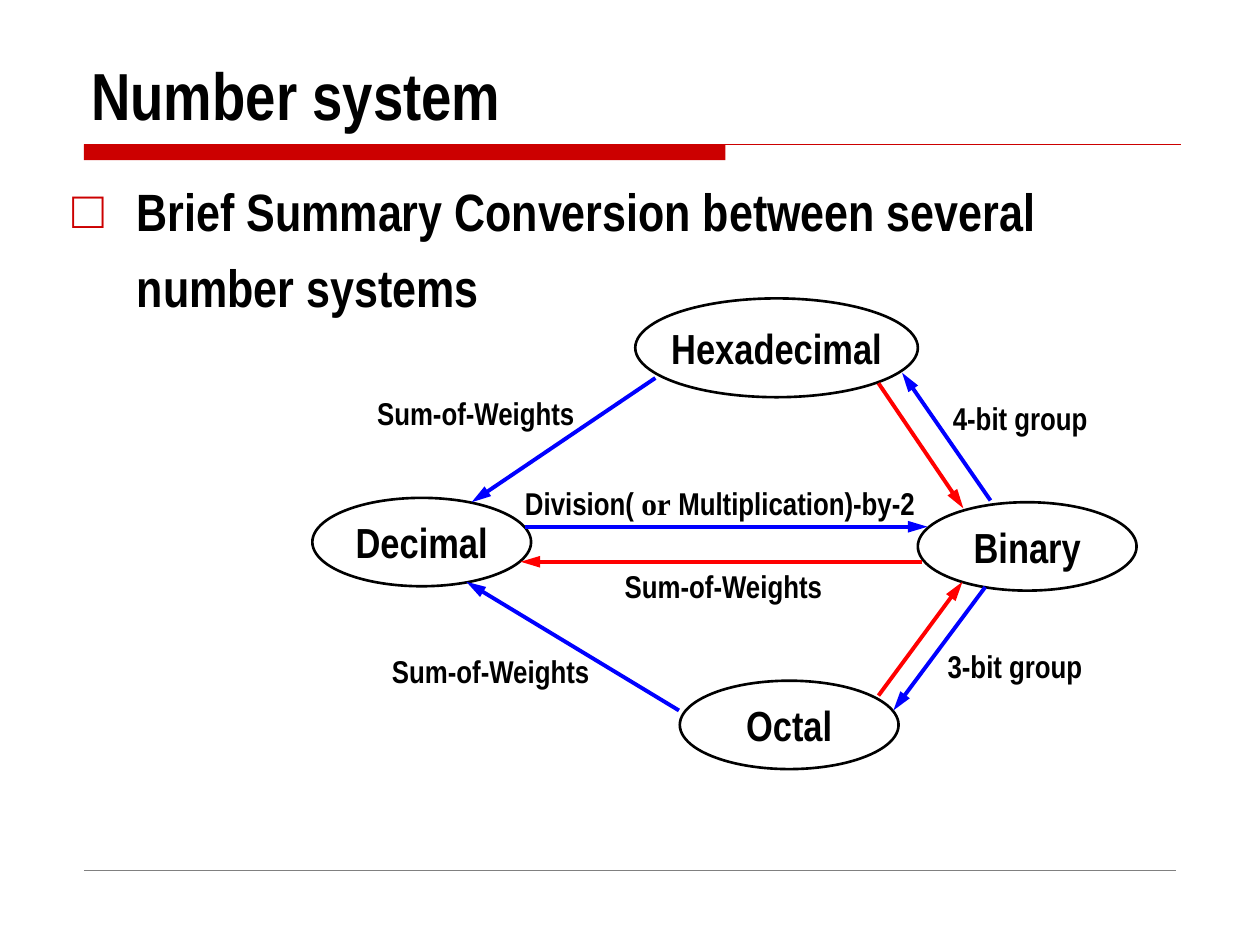
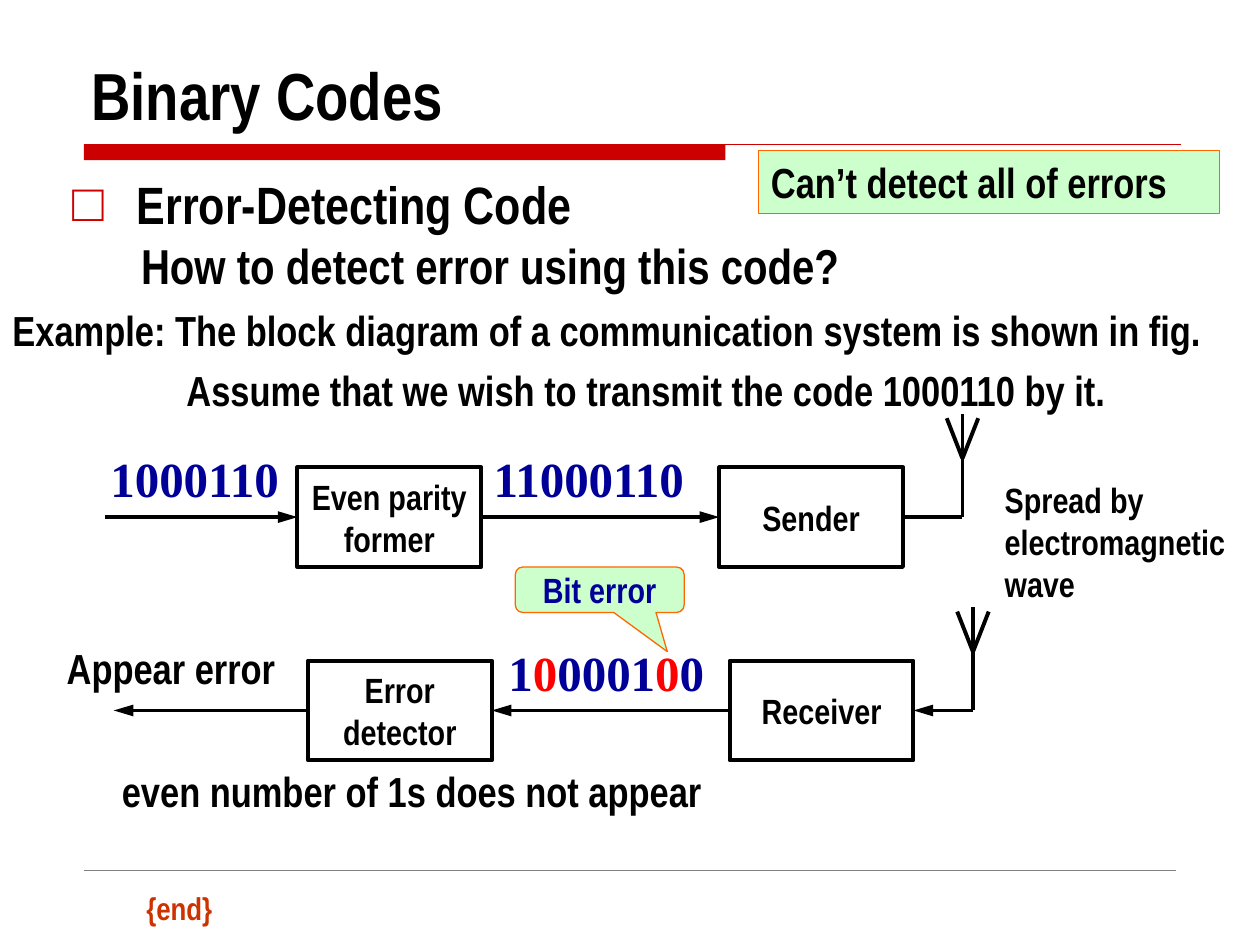
from lxml.etree import SubElement
from pptx import Presentation
from pptx.dml.color import RGBColor
from pptx.enum.shapes import MSO_CONNECTOR, MSO_SHAPE
from pptx.enum.text import MSO_ANCHOR, MSO_AUTO_SIZE, PP_ALIGN
from pptx.oxml.ns import qn
from pptx.util import Pt

SANS, SERIF = "Arial Narrow", "Times New Roman"
BLACK = RGBColor(0x00, 0x00, 0x00)
WHITE = RGBColor(0xFF, 0xFF, 0xFF)
CRIMSON = RGBColor(0xCC, 0x00, 0x00)
RED = RGBColor(0xFF, 0x00, 0x00)
BLUE = RGBColor(0x00, 0x00, 0xFF)
NAVY = RGBColor(0x00, 0x00, 0x99)
RUST = RGBColor(0xCC, 0x33, 0x00)
ORANGE = RGBColor(0xFF, 0x66, 0x00)
MINT = RGBColor(0xCC, 0xFF, 0xCC)
GRAY = RGBColor(0x80, 0x80, 0x80)

# Slide 1: left, top, width, height
SYSTEMS = [
    ("Decimal", (178.5, 284.5, 125, 50.5)),
    ("Binary", (524.5, 287, 125, 50.5)),
    ("Octal", (388.5, 389, 125, 50.5)),
    ("Hexadecimal", (363, 170.5, 161.5, 56.5)),
]
# x and y of the start, then of the arrowhead
CONVERSIONS = [
    (RED, (502, 219, 550.5, 290.5)),
    (BLUE, (566, 286, 515.5, 213)),
    (RED, (502, 397.5, 550, 332.5)),
    (BLUE, (563, 335.5, 510.5, 406)),
    (BLUE, (374.5, 216, 269.5, 287)),
    (BLUE, (388, 406, 266.5, 332.5)),
    (BLUE, (300, 301, 530, 301)),
    (RED, (527, 321, 297.5, 321)),
]
METHODS = [
    ([("4-bit group", {})], (544.5, 224.5, 100, 25)),
    ([("3-bit group", {})], (541.5, 366.5, 100, 25)),
    ([("Sum-of-Weights", {})], (215.5, 222, 130, 25)),
    ([("Sum-of-Weights", {})], (224, 369.5, 130, 25)),
    ([("Division( ", {}), ("or ", {"name": SERIF}), ("Multiplication)-by-2", {})],
     (300, 273, 240, 25)),
    ([("Sum-of-Weights", {})], (357, 321, 130, 25)),
]

# Slide 2
CODE = {"size": 28, "name": SERIF, "color": NAVY}
NOTES = [
    ("How to detect error using this code?", (73.5, 131, 442, 41), {"size": 28}),
    ("Example: The block diagram of a communication system is shown in fig.",
     (0, 170.5, 705, 36), {}),
    ("Assume that we wish to transmit the code 1000110 by it.",
     (99.5, 204.5, 620, 36), {}),
    ("1000110", (56, 252.5, 116, 41), CODE),
    ("11000110", (275, 252.5, 136, 41), CODE),
    ([("1", {}), ("0", {"color": RED}), ("0001", {}), ("0", {"color": RED}), ("0", {})],
     (283.5, 363.5, 136, 41), CODE),
    ("Appear error", (31, 363.5, 145, 36), {}),
    ("even number of 1s does not appear", (62.5, 434, 428, 36), {}),
    ("Spread by electromagnetic wave", (567, 270, 145, 79), {"size": 20}),
    ("{end}", (76.5, 504.5, 70, 29), {"size": 18, "color": RUST}),
]
WARNING = "Can’t detect all of errors"
BLOCK_W, BLOCK_H, BLOCK_GAP = 105, 57, 136
# left of the first block, top, labels, x of the row's open end
SENDING = (170, 267, ("Even parity former", "Sender"), 60)
RECEIVING = (176, 377.5, ("Error detector", "Receiver"), 65)
MAST_OFFSET, MAST_H = 34, 59
ARM_SPREAD, ARM_TOP, ARM_FOOT = 9, 56.5, 33.5


def points(values):
    return [Pt(value) for value in values]


def style_font(font, size=None, name=None, color=None):
    if size:
        font.size = Pt(size)
    if name:
        font.name = name
    if color is not None:
        font.color.rgb = color


def write(shape, content, size=24, name=SANS, color=BLACK, align=PP_ALIGN.LEFT,
          anchor=MSO_ANCHOR.MIDDLE, spacing=None, bullet=None):
    """Fill a shape with one bold paragraph: a string or (text, font changes) pairs."""
    frame = shape.text_frame
    frame.word_wrap = True
    frame.auto_size = MSO_AUTO_SIZE.NONE
    frame.vertical_anchor = anchor
    paragraph = frame.paragraphs[0]
    if bullet:
        add_bullet(paragraph, bullet)
    paragraph.alignment = align
    paragraph.space_before = Pt(0)
    if spacing:
        paragraph.line_spacing = spacing
    style_font(paragraph.font, size, name, color)
    paragraph.font.bold = True
    for text, changes in [(content, {})] if isinstance(content, str) else content:
        run = paragraph.add_run()
        run.text = text
        style_font(run.font, **changes)


def add_bullet(paragraph, mark):
    properties = paragraph._p.get_or_add_pPr()
    properties.set("marL", str(Pt(37)))
    properties.set("indent", str(-Pt(37)))
    color = SubElement(properties, qn("a:buClr"))
    SubElement(color, qn("a:srgbClr"), val=str(CRIMSON))
    SubElement(properties, qn("a:buChar"), char=mark)


def set_margins(shape, margin):
    frame = shape.text_frame
    frame.margin_left = frame.margin_right = Pt(margin)
    frame.margin_top = frame.margin_bottom = Pt(margin)


def add_label(slide, content, box, **style):
    label = slide.shapes.add_textbox(*points(box))
    write(label, content, **style)
    return label


def add_panel(slide, kind, box, fill, outline=None, weight=0.75):
    panel = slide.shapes.add_shape(kind, *points(box))
    panel.shadow.inherit = False
    panel.fill.solid()
    panel.fill.fore_color.rgb = fill
    if outline is None:
        panel.line.fill.background()
    else:
        panel.line.color.rgb = outline
        panel.line.width = Pt(weight)
    return panel


def add_line(slide, ends, color=BLACK, weight=2.25, arrow=False, start=None, end=None):
    """Draw a line; start and end are optional (shape, side) joints."""
    line = slide.shapes.add_connector(MSO_CONNECTOR.STRAIGHT, *points(ends))
    line.line.color.rgb = color
    line.line.width = Pt(weight)
    if arrow:
        SubElement(line.line._get_or_add_ln(), qn("a:tailEnd"),
                   type="triangle", w="med", len="lg")
    SubElement(line._element.spPr, qn("a:effectLst"))
    if start:
        line.begin_connect(*start)
    if end:
        line.end_connect(*end)


def place(placeholder, box):
    placeholder.left, placeholder.top, placeholder.width, placeholder.height = points(box)


def add_slide(deck, title, topic, topic_box, spacing):
    slide = deck.slides.add_slide(deck.slide_layouts[1])
    add_panel(slide, MSO_SHAPE.RECTANGLE, (48, 82.5, 366.5, 9), CRIMSON)
    add_line(slide, (48, 82.5, 675, 82.5), CRIMSON, 0.75)
    add_line(slide, (48, 497, 672, 497), GRAY, 0.25)
    heading, body = slide.placeholders
    place(heading, (45, 20, 630, 60))
    write(heading, title, size=38, anchor=MSO_ANCHOR.BOTTOM)
    place(body, topic_box)
    write(body, topic, size=30, anchor=MSO_ANCHOR.TOP, spacing=spacing, bullet="□")
    return slide


def add_number_systems(deck):
    slide = add_slide(deck, "Number system",
                      "Brief Summary Conversion between several number systems",
                      (34, 91.5, 658, 94), 1.2)
    for system, box in SYSTEMS:
        oval = add_panel(slide, MSO_SHAPE.OVAL, box, WHITE, BLACK, 1.5)
        set_margins(oval, 0)
        write(oval, system, align=PP_ALIGN.CENTER)
        oval.text_frame.word_wrap = False
    for color, ends in CONVERSIONS:
        add_line(slide, ends, color, arrow=True)
    for method, box in METHODS:
        set_margins(add_label(slide, method, box, size=18, spacing=1.15), 0)


def add_blocks(slide, left, top, labels):
    blocks = []
    for index, label in enumerate(labels):
        x = left + index * (BLOCK_W + BLOCK_GAP)
        block = add_panel(slide, MSO_SHAPE.RECTANGLE, (x, top, BLOCK_W, BLOCK_H),
                          WHITE, BLACK, 2.25)
        set_margins(block, 5)
        write(block, label, size=20, align=PP_ALIGN.CENTER)
        blocks.append(block)
    return blocks


def add_antenna(slide, x, foot):
    add_line(slide, (x, foot - MAST_H, x, foot))
    for side in (-1, 1):
        add_line(slide, (x + side * ARM_SPREAD, foot - ARM_TOP, x, foot - ARM_FOOT))


def add_channel(slide, row, outgoing):
    """Draw two blocks with their arrows and the antenna at the right."""
    left, top, labels, open_end = row
    middle = top + BLOCK_H / 2
    second = left + BLOCK_W + BLOCK_GAP
    mast = second + BLOCK_W + MAST_OFFSET
    first_block, second_block = add_blocks(slide, left, top, labels)
    first_left, first_right = (first_block, 1), (first_block, 3)
    second_left, second_right = (second_block, 1), (second_block, 3)
    outer = (open_end, middle, left, middle)
    inner = (left + BLOCK_W, middle, second, middle)
    feed = (second + BLOCK_W, middle, mast, middle)
    if outgoing:
        add_line(slide, outer, arrow=True, end=first_left)
        add_line(slide, inner, arrow=True, start=first_right, end=second_left)
        add_line(slide, feed, start=second_right)
    else:
        add_line(slide, (mast, middle, second + BLOCK_W, middle), arrow=True,
                 end=second_right)
        add_line(slide, inner, arrow=True, start=second_left, end=first_right)
        add_line(slide, (left, middle, open_end, middle), arrow=True, start=first_left)
    add_antenna(slide, mast, middle)


def add_error_detection(deck):
    slide = add_slide(deck, "Binary Codes", "Error-Detecting Code",
                      (34, 94.5, 672, 43), None)
    add_channel(slide, SENDING, outgoing=True)
    add_channel(slide, RECEIVING, outgoing=False)
    for content, box, style in NOTES:
        add_label(slide, content, box, **style)
    callout = add_panel(slide, MSO_SHAPE.ROUNDED_RECTANGULAR_CALLOUT,
                        (294.5, 324, 96.5, 26), MINT, ORANGE)
    callout.adjustments[0], callout.adjustments[1] = 0.4, 1.36
    set_margins(callout, 0)
    write(callout, "Bit error", size=20, color=NAVY, align=PP_ALIGN.CENTER)
    warning = add_panel(slide, MSO_SHAPE.RECTANGLE, (433.5, 86, 263.5, 36), MINT, ORANGE)
    write(warning, WARNING)


def main():
    deck = Presentation()
    deck.slide_width, deck.slide_height = Pt(720), Pt(540)
    add_number_systems(deck)
    add_error_detection(deck)
    deck.save("out.pptx")


if __name__ == "__main__":
    main()
